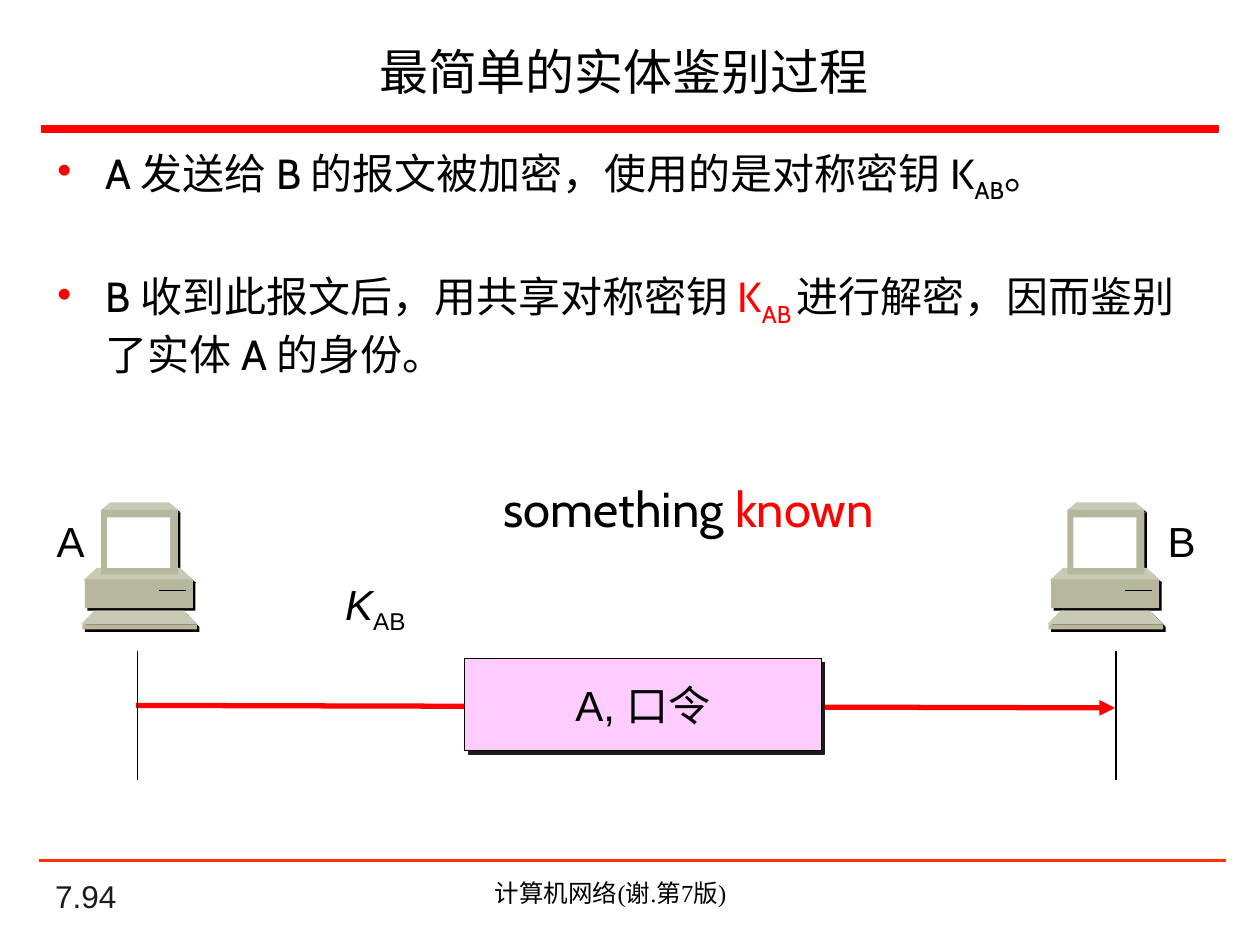
from lxml import etree
from pptx import Presentation, util as u
from pptx.dml.color import RGBColor
from pptx.enum import shapes as s, text as t
from pptx.oxml import parse_xml
from pptx.oxml.ns import qn

BLACK = RGBColor(0x00, 0x00, 0x00)
WHITE = RGBColor(0xFF, 0xFF, 0xFF)
RED = RGBColor(0xFF, 0x00, 0x00)
ORANGE = RGBColor(0xFF, 0x33, 0x00)
CHARCOAL = RGBColor(0x1C, 0x1C, 0x1C)
PINK = RGBColor(0xFF, 0xCC, 0xFF)
LIGHT_CASE = RGBColor(0xC9, 0xC9, 0xB6)
DARK_CASE = RGBColor(0xB7, 0xB7, 0x9D)
KEY_EDGE = RGBColor(0xBA, 0xB7, 0x9D)

LABEL = {"name": "Arial", "size": u.Pt(24), "color": BLACK}
HEADING = {"name": "Cabin", "size": u.Pt(28), "color": BLACK}
BODY = {"name": "Cabin", "size": u.Pt(24), "color": BLACK}
RED_BODY = {**BODY, "color": RED}
SUBSCRIPT = {"baseline": "-25000"}

# Outlines of one computer: left, top, width, height, slant of the sides, colour
COMPUTER_PARTS = [
    (0.05, 1.32, 2.22, 0.25, 0.27, LIGHT_CASE),  # top of the case
    (0.41, 0, 1.55, 0.15, 0.18, LIGHT_CASE),     # top of the monitor
    (0.41, 0.15, 1.55, 1.3, 0, DARK_CASE),       # monitor
    (0.08, 1.55, 2.18, 0.58, 0, DARK_CASE),      # case
    (0, 2.18, 2.34, 0.28, 0.27, LIGHT_CASE),     # keyboard
    (0.03, 2.46, 2.31, 0.1, 0, KEY_EDGE),        # keyboard edge
]


def cm(*lengths):
    return [u.Cm(length) for length in lengths]


def write_runs(paragraph, runs):
    for words, style in runs:
        run = paragraph.add_run()
        run.text = words
        for key, value in style.items():
            if key == "color":
                run.font.color.rgb = value
            elif key == "baseline":
                run._r.get_or_add_rPr().set("baseline", value)
            else:
                setattr(run.font, key, value)


def add_text(slide, box, runs, align=t.PP_ALIGN.LEFT, wrap=True,
             anchor=t.MSO_ANCHOR.TOP):
    frame = slide.shapes.add_textbox(*cm(*box)).text_frame
    frame.word_wrap = wrap
    frame.vertical_anchor = anchor
    frame.paragraphs[0].alignment = align
    write_runs(frame.paragraphs[0], runs)
    return frame


def paint(shape, fill, line=None, width=0.75):
    shape.shadow.inherit = False
    shape.fill.solid()
    shape.fill.fore_color.rgb = fill
    if line is None:
        shape.line.fill.background()
    else:
        shape.line.color.rgb = line
        shape.line.width = u.Pt(width)


def add_rectangle(shapes, box, fill, line=None, width=0.75):
    shape = shapes.add_shape(s.MSO_SHAPE.RECTANGLE, *cm(*box))
    paint(shape, fill, line, width)
    return shape


def add_line(shapes, start, end, color, width):
    line = shapes.add_connector(s.MSO_CONNECTOR.STRAIGHT, *cm(*start, *end))
    line.line.color.rgb = color
    line.line.width = u.Pt(width)
    etree.SubElement(line._element.spPr, qn("a:effectLst"))
    return line


def add_panel(shapes, left, top, width, height, slant, fill):
    """A rectangle, or a trapezoid when its sides slant."""
    if not slant:
        add_rectangle(shapes, (left, top, width, height), fill)
        return
    right, bottom = left + width, top + height
    corners = [(left + slant, top), (right - slant, top), (right, bottom)]
    builder = shapes.build_freeform(*cm(left, bottom))
    builder.add_line_segments([cm(*corner) for corner in corners], close=True)
    paint(builder.convert_to_shape(), fill)


def add_bullet(paragraph, indent):
    properties = paragraph._p.get_or_add_pPr()
    properties.set("marL", str(u.Cm(indent)))
    properties.set("indent", str(-u.Cm(indent)))
    color = etree.SubElement(properties, qn("a:buClr"))
    etree.SubElement(color, qn("a:srgbClr"), val=str(RED))
    etree.SubElement(properties, qn("a:buChar"), char="•")


def add_header(slide, left, top, width, height):
    add_text(slide, (left + 0.15, top, width - 0.33, 1.75),
             [("最简单的实体鉴别过程 ", HEADING)],
             t.PP_ALIGN.CENTER, anchor=t.MSO_ANCHOR.MIDDLE)
    add_rectangle(slide.shapes, (left, top + height - 0.13, width, 0.13), RED, RED, 1)


def add_body(slide, *box):
    points = [
        [("A 发送给 B 的报文被加密，使用的是对称密钥 K", BODY),
         ("AB", {**BODY, **SUBSCRIPT}), ("。", BODY)],
        [("B 收到此报文后，用共享对称密钥 ", BODY), ("K", RED_BODY),
         ("AB ", {**RED_BODY, **SUBSCRIPT}),
         ("进行解密，因而鉴别了实体 A 的身份。", BODY)],
    ]
    frame = add_text(slide, box, [])
    for index, runs in enumerate(points):
        paragraph = frame.add_paragraph() if index else frame.paragraphs[0]
        add_bullet(paragraph, 0.97)
        if index:
            paragraph.space_before = u.Pt(38)
        write_runs(paragraph, runs)


def add_computer(slide, left, top):
    shapes = slide.shapes.add_group_shape().shapes
    # Black shadow first, then the coloured parts
    for offset, shadow in ((0.05, BLACK), (0, None)):
        for x, y, width, height, slant, color in COMPUTER_PARTS:
            add_panel(shapes, left + x + offset, top + y + offset,
                      width, height, slant, shadow or color)
    # Screen and disk drive
    add_rectangle(shapes, (left + 0.53, top + 0.3, 1.27, 1.02), WHITE)
    add_line(shapes, (left + 2.11, top + 1.78), (left + 1.57, top + 1.78), BLACK, 0.63)


def add_message(slide, box):
    shape = add_rectangle(slide.shapes, box, PINK, BLACK)
    effects = shape._element.spPr.find(qn("a:effectLst"))
    effects.append(parse_xml(
        '<a:outerShdw xmlns:a="http://schemas.openxmlformats.org/drawingml/2006/main"'
        f' dist="{u.Pt(2.8)}" dir="2700000" algn="ctr" rotWithShape="0">'
        f'<a:srgbClr val="{CHARCOAL}"/></a:outerShdw>'))
    frame = shape.text_frame
    frame.word_wrap = False
    frame.vertical_anchor = t.MSO_ANCHOR.MIDDLE
    frame.paragraphs[0].alignment = t.PP_ALIGN.CENTER
    write_runs(frame.paragraphs[0], [("A, 口令", LABEL)])


def add_exchange(slide, left, top, width, height):
    # Arrow from A to B
    arrow = add_line(slide.shapes, (left + 1.85, top + 4.69),
                     (left + 21.59, top + 4.74), RED, 3)
    etree.SubElement(arrow.line._get_or_add_ln(), qn("a:tailEnd"), type="triangle")
    # Both parties: name, label, computer and lifeline offsets
    for name, label, computer, lifeline in (("A", 0, 0.74, 1.88),
                                            ("B", width - 1.1, 20.22, 21.61)):
        add_text(slide, (left + label, top + 0.73, 1.08, 1.27), [(name, LABEL)], wrap=False)
        add_computer(slide, left + computer, top + 0.6)
        add_line(slide.shapes, (left + lifeline, top + 3.59),
                 (left + lifeline, top + height), BLACK, 0.75)
    # Message, its key and the caption
    add_message(slide, (left + 8.48, top + 3.75, 7.19, 1.85))
    add_text(slide, (left + 5.82, top + 2, 1.83, 1.27),
             [("K", {**LABEL, "italic": True}), ("AB", {**LABEL, **SUBSCRIPT})], wrap=False)
    add_text(slide, (left + 8.84, top, 8.31, 1.45),
             [("something ", HEADING), ("known", {**HEADING, "color": RED})],
             t.PP_ALIGN.CENTER, wrap=False)


def add_footer(slide, left, top, width):
    add_line(slide.shapes, (left, top), (left + width, top), ORANGE, 1.5)
    add_text(slide, (left + 0.07, top + 0.38, 5.28, 0.84),
             [("7.94", {"name": "Arial", "size": u.Pt(18), "color": CHARCOAL})],
             anchor=t.MSO_ANCHOR.BOTTOM)
    add_text(slide, (left + 6.4, top + 0.23, 10.36, 0.86),
             [("计算机网络(谢.第7版) ",
               {"name": "Times New Roman", "size": u.Pt(14), "color": BLACK})],
             t.PP_ALIGN.CENTER)


def main():
    presentation = Presentation()
    presentation.slide_width, presentation.slide_height = cm(25.4, 19.05)
    slide = presentation.slides.add_slide(presentation.slide_layouts[6])
    add_header(slide, 0.84, 0.56, 23.72, 2.11)
    add_body(slide, 0.91, 2.84, 23.57, 5.26)
    add_exchange(slide, 0.89, 9.53, 23.5, 6.2)
    add_footer(slide, 0.79, 17.35, 23.92)
    presentation.save("out.pptx")


if __name__ == "__main__":
    main()
